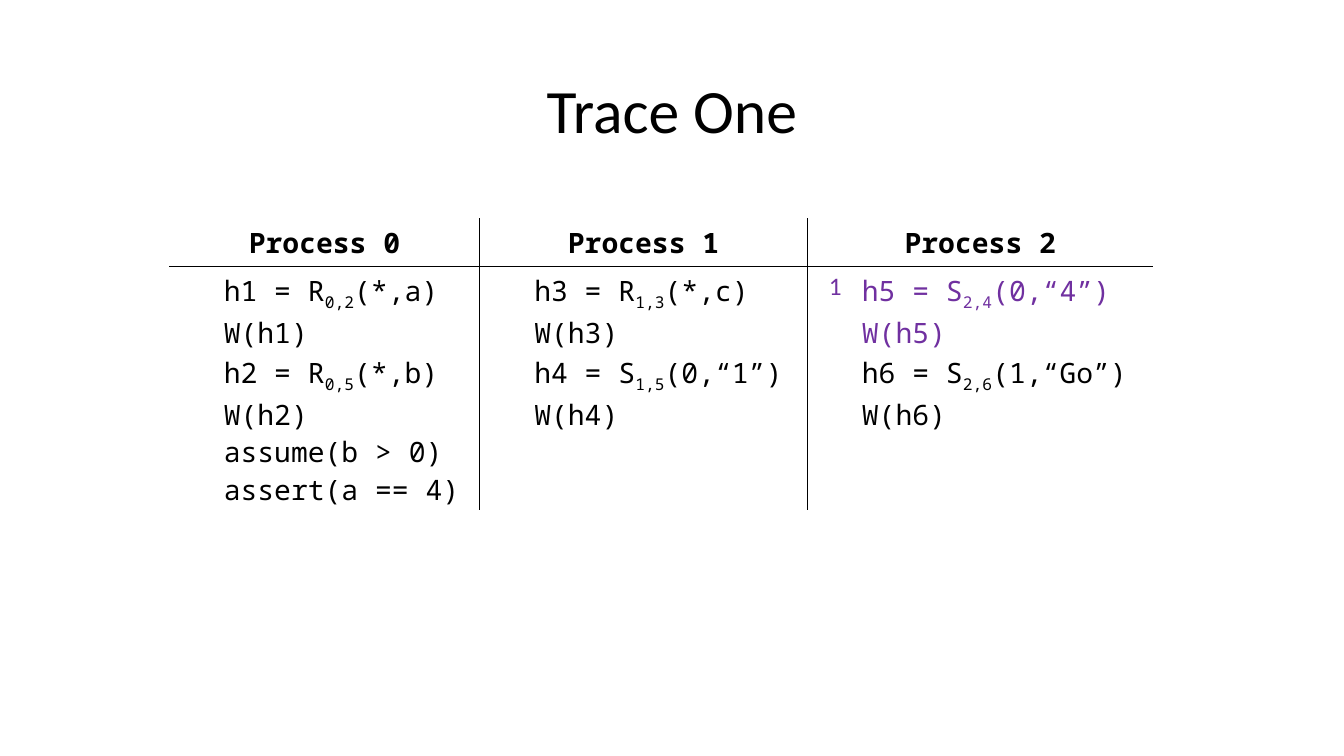
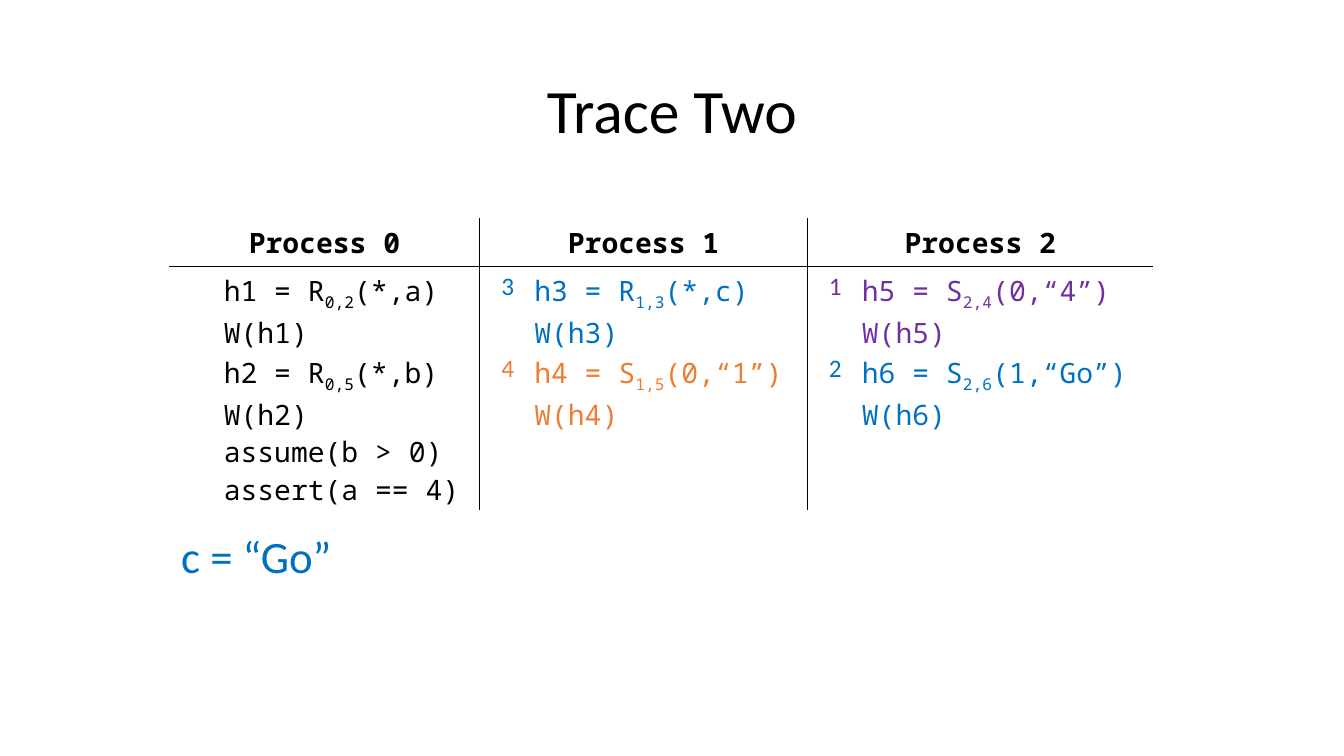
from lxml.etree import SubElement
from pptx import Presentation
from pptx.dml.color import RGBColor
from pptx.enum.text import MSO_ANCHOR as Anchor, PP_ALIGN as Align
from pptx.oxml.ns import qn
from pptx.util import Inches, Pt

WIDTH, HEIGHT = 13.33, 7.5
BLACK, WHITE = "000000", "FFFFFF"
PURPLE, BLUE, ORANGE = "7030A0", "0070C0", "ED7D31"
BODY_FONT, CODE_FONT = "Calibri", "Noto Sans Mono"
PLAIN_TABLE_STYLE = "{2D5ABB26-0587-4C30-8999-92F81FD0307C}"

STEP_WIDTH = 0.44
CODE_WIDTHS = [2.64, 2.81, 2.99]
ROW_HEIGHTS = [0.48, 0.86, 0.78, 0.77]

# One list per process, one entry per table row; subscripts stand between bars.
PROCESSES = [
    [["h1 = R|0,2|(*,a)", "W(h1)"],
     ["h2 = R|0,5|(*,b)", "W(h2)"],
     ["assume(b > 0)", "assert(a == 4)"]],
    [["h3 = R|1,3|(*,c)", "W(h3)"],
     ["h4 = S|1,5|(0,“1”)", "W(h4)"]],
    [["h5 = S|2,4|(0,“4”)", "W(h5)"],
     ["h6 = S|2,6|(1,“Go”)", "W(h6)"]],
]

# Executed steps: (process, row) -> (step number, colour).
TRACE_ONE = {(2, 1): ("1", PURPLE)}
TRACE_TWO = {**TRACE_ONE, (2, 2): ("2", BLUE),
             (1, 1): ("3", BLUE), (1, 2): ("4", ORANGE)}


def color(value):
    """Turn a hex string into a colour."""
    return RGBColor.from_string(value)


def add_run(paragraph, text, size, font=BODY_FONT, fill=BLACK, bold=False,
            subscript=False):
    """Add one formatted run to a paragraph."""
    run = paragraph.add_run()
    run.text = text
    run.font.size = Pt(size)
    run.font.name = font
    run.font.bold = bold
    run.font.color.rgb = color(fill)
    if subscript:
        run._r.get_or_add_rPr().set("baseline", "-25000")


def add_text(slide, text, left, top, width, height, size, fill=BLACK,
             align=Align.LEFT, anchor=Anchor.TOP):
    """Add a one-line text box placed by shares of the slide's size."""
    box = slide.shapes.add_textbox(
        Inches(left * WIDTH), Inches(top * HEIGHT),
        Inches(width * WIDTH), Inches(height * HEIGHT))
    frame = box.text_frame
    frame.word_wrap = True
    frame.vertical_anchor = anchor
    paragraph = frame.paragraphs[0]
    paragraph.alignment = align
    add_run(paragraph, text, size, fill=fill)
    return paragraph


def add_title(slide, text):
    """Add the centred slide title."""
    paragraph = add_text(slide, text, 0.069, 0.053, 0.862, 0.193, 44,
                         align=Align.CENTER, anchor=Anchor.MIDDLE)
    paragraph.line_spacing = 0.9


def add_borders(cell, ruled_sides):
    """Draw thin black lines on the ruled sides and none on the others."""
    properties = cell._tc.get_or_add_tcPr()
    for side in "LRTB":
        line = SubElement(properties, qn(f"a:ln{side}"), w=str(Pt(1)))
        if side in ruled_sides:
            solid = SubElement(line, qn("a:solidFill"))
            SubElement(solid, qn("a:srgbClr"), val=BLACK)
        else:
            SubElement(line, qn("a:noFill"))


def border_sides(row, column):
    """Name the sides of a cell that lie on a rule of the grid."""
    process, is_code = divmod(column, 2)
    header = row == 0
    return "".join(side for side, present in (
        ("L", process > 0 and not is_code),
        ("R", process < len(PROCESSES) - 1 and (is_code or header)),
        ("T", row == 1),
        ("B", header)) if present)


def write_code(cell, lines, fill):
    """Write code lines, with the parts between bars as subscripts."""
    frame = cell.text_frame
    for index, line in enumerate(lines):
        paragraph = frame.add_paragraph() if index else frame.paragraphs[0]
        for position, part in enumerate(line.split("|")):
            add_run(paragraph, part, 20, CODE_FONT, fill,
                    subscript=position % 2 == 1)


def write_aligned(cell, align, text, size, **style):
    """Write a single aligned line in a cell."""
    paragraph = cell.text_frame.paragraphs[0]
    paragraph.alignment = align
    add_run(paragraph, text, size, **style)


def add_grid(slide):
    """Add the empty ruled table with one merged header per process."""
    widths = [width for code in CODE_WIDTHS for width in (STEP_WIDTH, code)]
    table = slide.shapes.add_table(
        len(ROW_HEIGHTS), len(widths), Inches(0.126 * WIDTH),
        Inches(0.289 * HEIGHT), Inches(sum(widths)),
        Inches(sum(ROW_HEIGHTS))).table
    table.first_row = table.horz_banding = False
    table._tbl.tblPr.find(qn("a:tableStyleId")).text = PLAIN_TABLE_STYLE
    for column, width in zip(table.columns, widths):
        column.width = Inches(width)
    for row, height in zip(table.rows, ROW_HEIGHTS):
        row.height = Inches(height)
    for column in range(0, len(widths), 2):
        table.cell(0, column).merge(table.cell(0, column + 1))
    for row in range(len(ROW_HEIGHTS)):
        for column in range(len(widths)):
            cell = table.cell(row, column)
            if row:
                cell.margin_top = Inches(0.05 if row == 1 else 0)
                cell.margin_bottom = 0
            add_borders(cell, border_sides(row, column))
            cell.fill.solid()
            cell.fill.fore_color.rgb = color(WHITE)
    return table


def add_trace_table(slide, trace):
    """Add the process table, colouring and numbering the executed steps."""
    table = add_grid(slide)
    for process, blocks in enumerate(PROCESSES):
        column = 2 * process
        write_aligned(table.cell(0, column), Align.CENTER,
                      f"Process {process}", 20, font=CODE_FONT, bold=True)
        for row, lines in enumerate(blocks, start=1):
            number, fill = trace.get((process, row), (None, BLACK))
            if number:
                write_aligned(table.cell(row, column), Align.RIGHT,
                              number, 18, fill=fill)
            write_code(table.cell(row, column + 1), lines, fill)


def add_trace_slide(presentation, title, trace):
    """Add a slide with a title and the process table."""
    slide = presentation.slides.add_slide(presentation.slide_layouts[6])
    add_title(slide, title)
    add_trace_table(slide, trace)
    return slide


def main():
    """Build and save the presentation."""
    presentation = Presentation()
    presentation.slide_width = Inches(WIDTH)
    presentation.slide_height = Inches(HEIGHT)
    add_trace_slide(presentation, "Trace One", TRACE_ONE)
    slide = add_trace_slide(presentation, "Trace Two", TRACE_TWO)
    add_text(slide, "c = “Go”", 0.1275, 0.693, 0.143, 0.085, 32, BLUE)
    presentation.save("out.pptx")


main()
